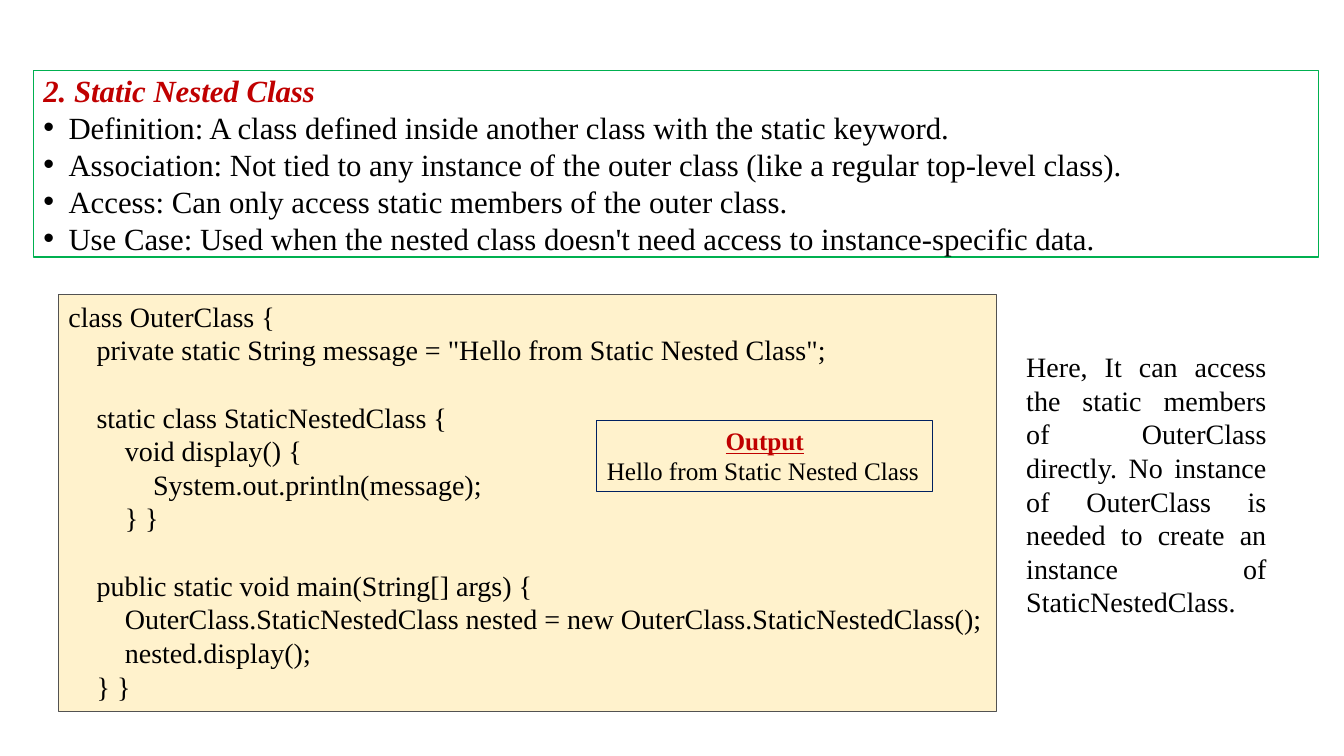
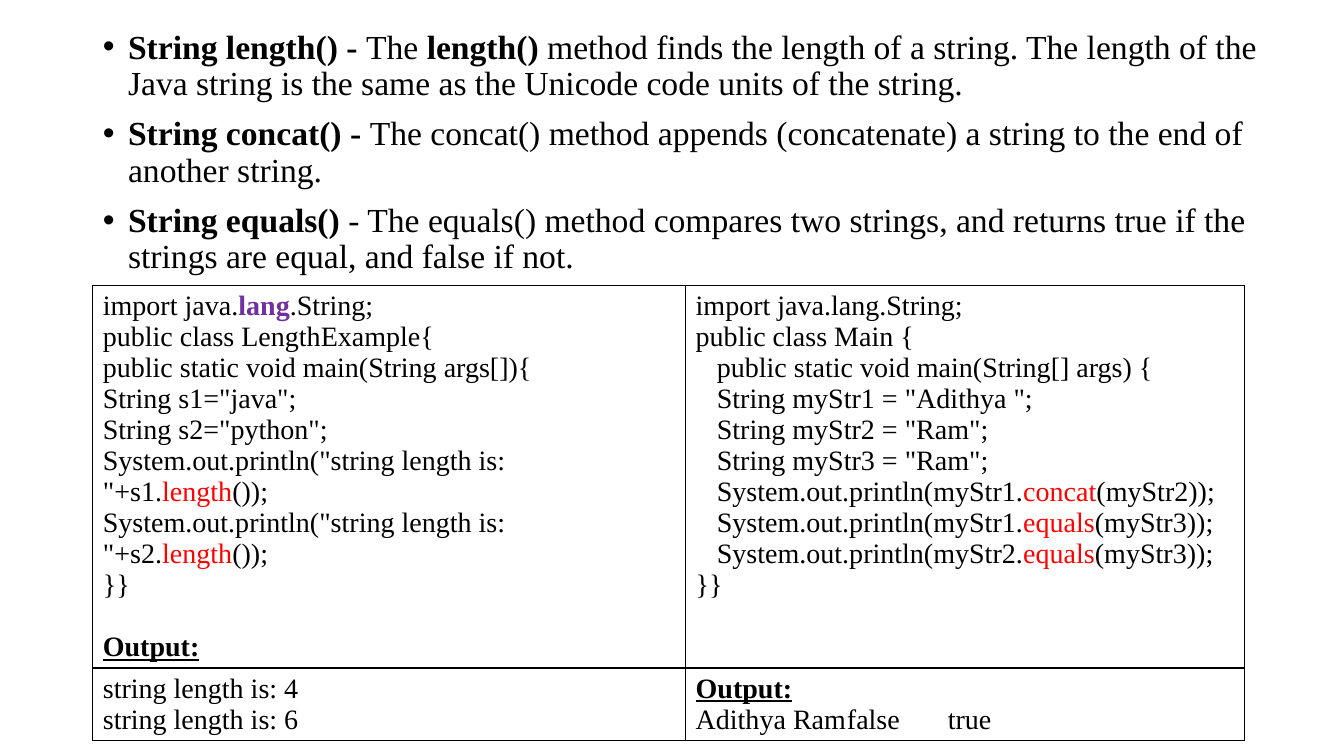
import pptx
import pptx.util
import pptx.dml.color
import pptx.enum.text
import pptx.oxml.ns
import lxml.etree

Inches = pptx.util.Inches
ALIGN = pptx.enum.text.PP_ALIGN
ANCHOR = pptx.enum.text.MSO_ANCHOR
FIT = pptx.enum.text.MSO_AUTO_SIZE


def shade(code):
    return pptx.dml.color.RGBColor.from_string(code)


def child(parent, tag, **attrs):
    node = lxml.etree.SubElement(parent, pptx.oxml.ns.qn("a:" + tag))
    for name, value in attrs.items():
        node.set(name, str(value))
    return node


class Deck:
    FONT = "Times New Roman"
    INK = "000000"
    DARK = "C00000"
    RED = "FF0000"
    PURPLE = "7030A0"
    GREEN = "00B050"
    NAVY = "002060"
    GREY = "525252"
    CREAM = "FFF2CC"

    def __init__(self):
        self.show = pptx.Presentation()
        self.show.slide_width = Inches(13.33)
        self.show.slide_height = Inches(7.5)
        self.slide = None

    def page(self):
        self.slide = self.show.slides.add_slide(self.show.slide_layouts[1])
        title = self.slide.shapes.title._element
        title.getparent().remove(title)

    def style(self, run, size, color=INK, bold=False, slant=False, under=False):
        font = run.font
        font.name = self.FONT
        font.size = pptx.util.Pt(size)
        font.color.rgb = shade(color)
        font.bold, font.italic, font.underline = bold, slant, under

    def line(self, para, parts, size, left=0, gap=0, space=1.0,
             align=ALIGN.LEFT, bullet=False, tabs=()):
        if isinstance(parts, str):
            parts = [parts]
        for part in parts:
            words, look = (part, {}) if isinstance(part, str) else part
            run = para.add_run()
            run.text = words
            self.style(run, size, **look)
        para.alignment = align
        para.line_spacing = space
        para.space_before = pptx.util.Pt(gap)
        props = para._p.get_or_add_pPr()
        props.set("marL", str(Inches(0.25 if bullet else left)))
        props.set("indent", str(Inches(-0.25 if bullet else 0)))
        if bullet:
            child(props, "buFont", typeface="Arial")
            child(props, "buChar", char="•")
        else:
            child(props, "buNone")
        if tabs:
            stops = child(props, "tabLst")
            for stop in tabs:
                child(stops, "tab", pos=Inches(stop), algn="l")

    def fill(self, frame, lines, size):
        for index, (parts, look) in enumerate(lines):
            para = frame.add_paragraph() if index else frame.paragraphs[0]
            self.line(para, parts, size, **look)

    def frame(self, shape, edge=None, back=None):
        if edge:
            shape.line.color.rgb = shade(edge)
            shape.line.width = pptx.util.Pt(0.75)
        if back:
            shape.fill.solid()
            shape.fill.fore_color.rgb = shade(back)

    def body(self, box, lines, size, edge=None, anchor=ANCHOR.TOP):
        shape = self.slide.placeholders[1]
        shape.left, shape.top, shape.width, shape.height = map(Inches, box)
        self.frame(shape, edge)
        text = shape.text_frame
        text.auto_size = FIT.NONE
        text.vertical_anchor = anchor
        self.fill(text, lines, size)

    def box(self, box, lines, size, edge=None, back=None, wrap=True):
        shape = self.slide.shapes.add_textbox(*map(Inches, box))
        self.frame(shape, edge, back)
        text = shape.text_frame
        text.word_wrap = wrap
        text.auto_size = FIT.SHAPE_TO_FIT_TEXT
        self.fill(text, lines, size)

    def border(self, cell):
        props = cell._tc.get_or_add_tcPr()
        for index, side in enumerate(("lnL", "lnR", "lnT", "lnB")):
            edge = child(props, side, w=pptx.util.Pt(1))
            child(child(edge, "solidFill"), "srgbClr", val=self.INK)
            props.insert(index, edge)

    def table(self, spot, cols, rows, cells, size):
        grid = self.slide.shapes.add_table(
            len(rows), len(cols), *map(Inches, spot),
            Inches(sum(cols)), Inches(sum(rows))).table
        grid.first_row = grid.horz_banding = False
        for col, width in zip(grid.columns, cols):
            col.width = Inches(width)
        for row, height in zip(grid.rows, rows):
            row.height = Inches(height)
        for cell, lines in zip(grid.iter_cells(), cells):
            cell.fill.background()
            self.border(cell)
            self.fill(cell.text_frame, lines, size)

    def save(self):
        self.show.save("out.pptx")


def plain(*texts, **look):
    return [(text, look) for text in texts]


def nested(deck):
    deck.page()
    head = ("2. Static Nested Class", dict(color=deck.DARK, bold=True, slant=True))
    points = plain(
        "Definition: A class defined inside another class with the static keyword.",
        "Association: Not tied to any instance of the outer class (like a regular top-level class).",
        "Access: Can only access static members of the outer class.",
        "Use Case: Used when the nested class doesn't need access to instance-specific data.",
        bullet=True)
    deck.body((0.33, 0.7, 12.75, 1.85), plain([head]) + points, 22,
              deck.GREEN, ANCHOR.MIDDLE)

    step, blank = 0.28, 24
    code = [
        (0, 0, "class OuterClass {"),
        (1, 0, "private static String message = \"Hello from Static Nested Class\";"),
        (1, blank, "static class StaticNestedClass {"),
        (2, 0, "void display() {"),
        (3, 0, "System.out.println(message);"),
        (2, 0, "} }"),
        (1, blank, "public static void main(String[] args) {"),
        (2, 0, "OuterClass.StaticNestedClass nested = new OuterClass.StaticNestedClass();"),
        (2, 0, "nested.display();"),
        (1, 0, "} }"),
    ]
    lines = [(text, dict(left=depth * step, gap=gap)) for depth, gap, text in code]
    deck.box((0.58, 2.92, 9.3, 4.14), lines, 20, deck.GREY, deck.CREAM)

    label = ("Output", dict(color=deck.DARK, bold=True, under=True))
    deck.box((5.92, 4.17, 3.33, 0.71),
             plain([label], align=ALIGN.CENTER) + plain("Hello from Static Nested Class"),
             18, deck.NAVY, wrap=False)
    deck.box((10.08, 3.42, 2.58, 2.46), plain(
        "Here, It can access the static members of OuterClass directly. "
        "No instance of OuterClass is needed to create an instance of StaticNestedClass.",
        align=ALIGN.JUSTIFY), 20)


def strings(deck):
    deck.page()
    bold = dict(bold=True)
    points = plain(
        [("String length() - ", bold), "The ", ("length()", bold),
         " method finds the length of a string. The length of the Java string"
         " is the same as the Unicode code units of the string."],
        [("String concat() - ", bold),
         "The concat() method appends (concatenate) a string to the end of another string."],
        [("String equals() ", bold),
         "- The equals() method compares two strings, and returns true"
         " if the strings are equal, and false if not."],
        bullet=True, gap=10, space=0.9)
    deck.body((0.92, 0.25, 12.06, 5.34), points, 24)

    def call(start, name, end):
        return [start, (name, dict(color=deck.RED)), end]

    label = [("Output:", dict(bold=True, under=True))]
    sizes = plain(
        ["import java.", ("lang", dict(color=deck.PURPLE, bold=True)), ".String;"],
        "public class LengthExample{",
        "public static void main(String args[]){",
        "String s1=\"java\";",
        "String s2=\"python\";",
        *[call(f"System.out.println(\"string length is: \"+{name}.", "length", "());")
          for name in ("s1", "s2")],
        "}}") + plain(label, gap=22)
    joins = plain("import java.lang.String;", "public class Main {") + plain(
        "public static void main(String[] args) {",
        *[f"String myStr{num} = \"{word}\";"
          for num, word in enumerate(("Adithya ", "Ram", "Ram"), 1)],
        *[call(f"System.out.println(myStr{left}.", name, f"(myStr{right}));")
          for left, name, right in ((1, "concat", 2), (1, "equals", 3), (2, "equals", 3))],
        left=0.21) + plain("}}")
    counts = plain("string length is: 4", "string length is: 6")
    result = plain(label) + plain("Adithya Ram\tfalse\ttrue", tabs=(2.04, 3.33))
    deck.table((0.92, 2.83), (5.88, 5.54), (0.41, 0.41),
               (sizes, joins, counts, result), 20)


def main():
    deck = Deck()
    nested(deck)
    strings(deck)
    deck.save()


if __name__ == "__main__":
    main()
